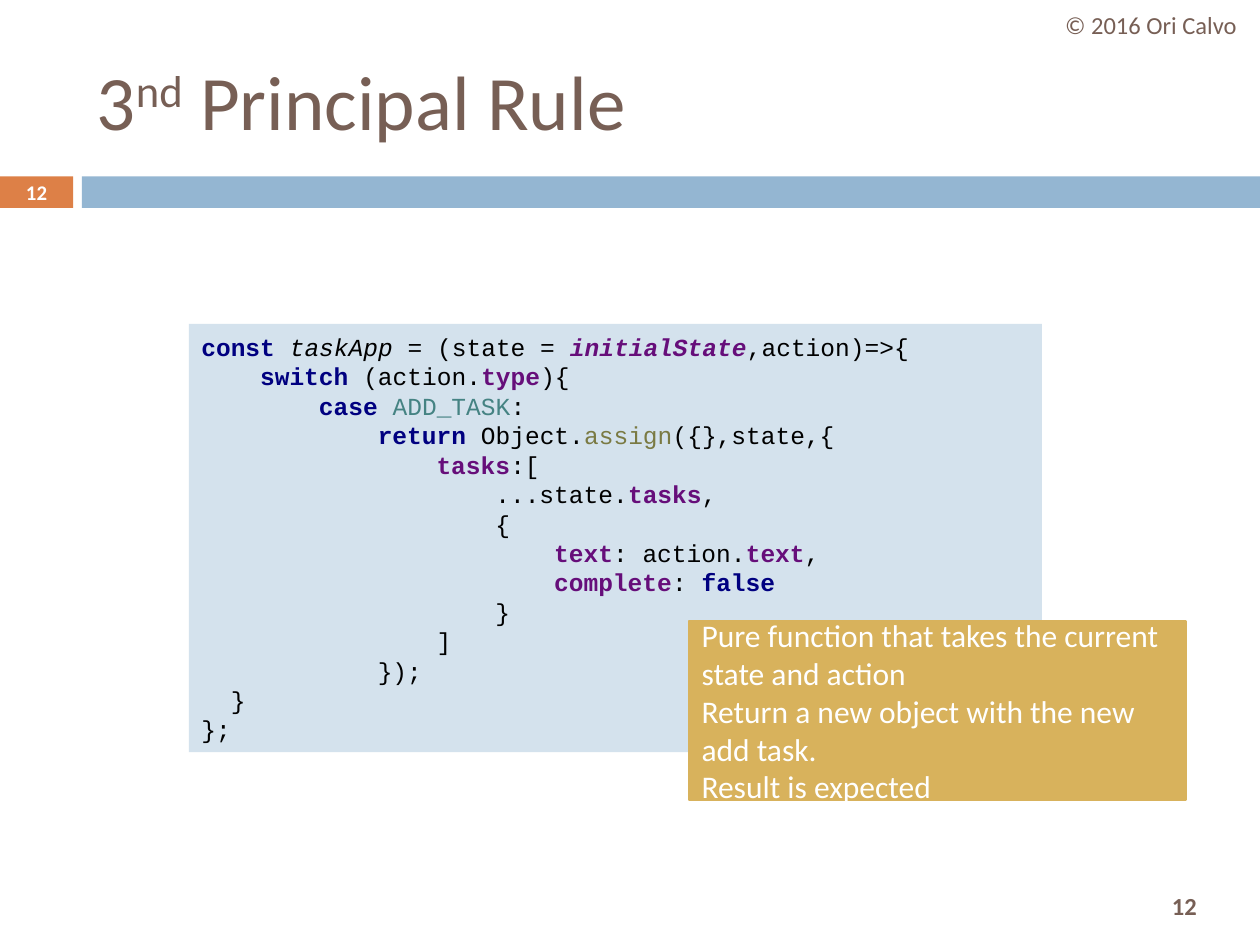
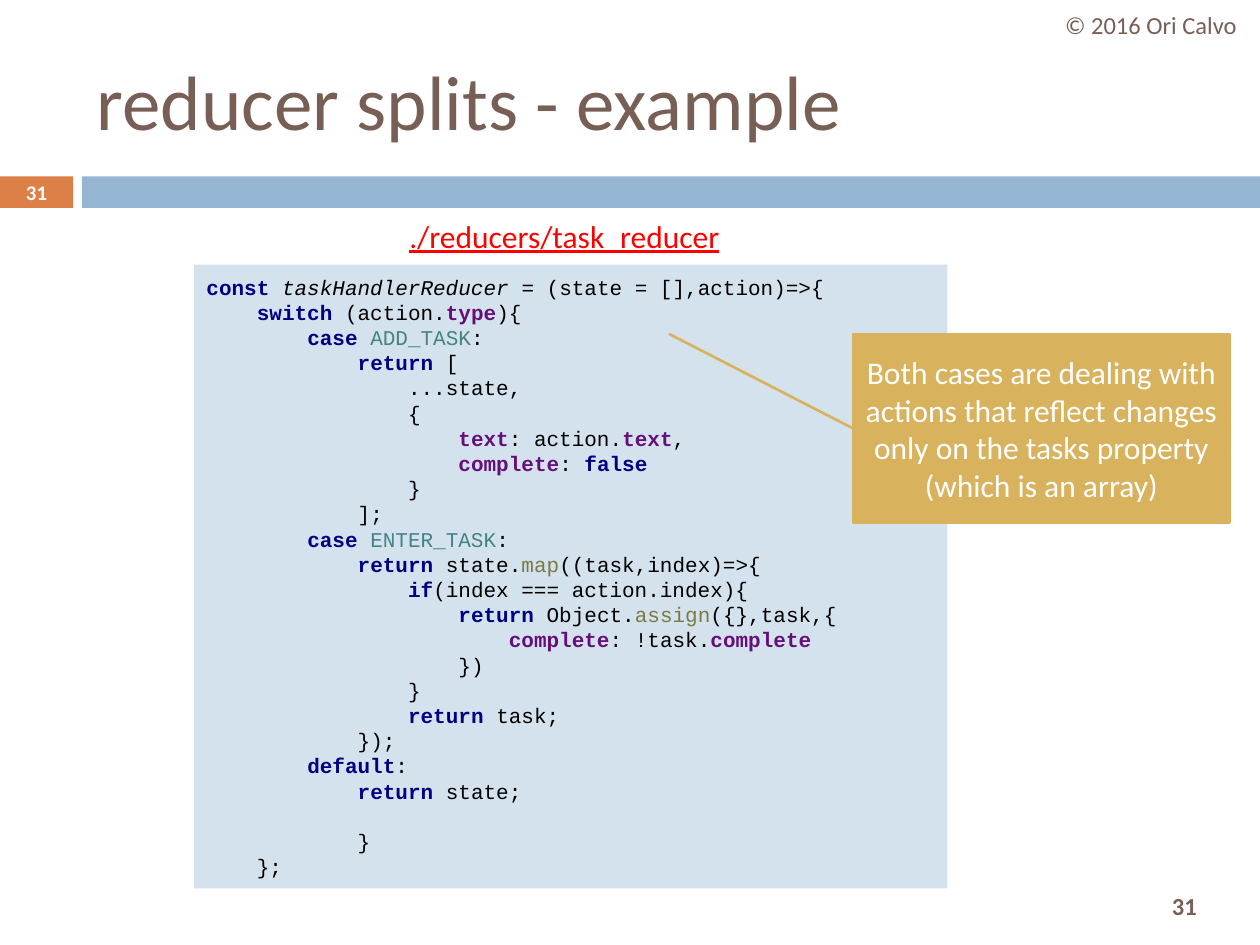
"""Two code walkthrough slides: a shared frame, a highlighted listing and a callout."""
from lxml import etree
from pptx import Presentation, util as u
from pptx.dml.color import RGBColor
from pptx.enum import shapes, text
from pptx.oxml.ns import qn

COLORS = {
    "brown": "775F55", "orange": "DD8047", "blue": "94B6D2", "pale": "D4E2ED",
    "gold": "D8B25C", "white": "FFFFFF", "red": "FF0000", "black": "000000",
    "navy": "000080", "purple": "660E7A", "teal": "458383", "olive": "7A7A43",
}
SANS, MONO = "Calibri", "Courier New"
LEFT, CENTER = text.PP_ALIGN.LEFT, text.PP_ALIGN.CENTER
TOP, MIDDLE = text.MSO_ANCHOR.TOP, text.MSO_ANCHOR.MIDDLE

# Code markup: ~k...~ is a styled token, the letter picks the style.
TOKENS = {
    "k": ("navy", True, False),      # keyword
    "f": ("black", False, True),     # declared name
    "g": ("purple", True, True),     # global constant
    "p": ("purple", True, False),    # property
    "c": ("teal", False, False),     # action type
    "m": ("olive", False, False),    # method
}
PLAIN = ("black", False, False)

TASK_APP = """\
~kconst~ ~ftaskApp~ = (state = ~ginitialState~,action)=>{
    ~kswitch~ (action.~ptype~){
        ~kcase~ ~cADD_TASK~:
            ~kreturn~ Object.~massign~({},state,{
                ~ptasks~:[
                    ...state.~ptasks~,
                    {
                        ~ptext~: action.~ptext~,
                        ~pcomplete~: ~kfalse~
                    }
                ]
            });
  }
};"""

TASK_REDUCER = """\
~kconst~ ~ftaskHandlerReducer~ = (state = [],action)=>{
    ~kswitch~ (action.~ptype~){
        ~kcase~ ~cADD_TASK~:
            ~kreturn~ [
                ...state,
                {
                    ~ptext~: action.~ptext~,
                    ~pcomplete~: ~kfalse~
                }
            ];
        ~kcase~ ~cENTER_TASK~:
            ~kreturn~ state.~mmap~((task,index)=>{
                ~kif~(index === action.index){
                    ~kreturn~ Object.~massign~({},task,{
                        ~pcomplete~: !task.~pcomplete~
                    })
                }
                ~kreturn~ task;
            });
        ~kdefault~:
            ~kreturn~ state;

            }
    };"""

deck = Presentation()
deck.slide_width, deck.slide_height = u.Inches(10), u.Inches(7.5)
# The grid has 100 columns and 75 rows.
COL, ROW = deck.slide_width / 100, deck.slide_height / 75


def grid(box):
    """Turn a box of columns and rows into slide lengths."""
    return [round(size * unit) for size, unit in zip(box, (COL, ROW, COL, ROW))]


def rgb(color):
    """Look up a named colour."""
    return RGBColor.from_string(COLORS[color])


def add_run(paragraph, words, size, color, font=SANS, bold=False, italic=False):
    """Append one formatted run."""
    run = paragraph.add_run()
    run.text = words
    run.font.name, run.font.size = font, u.Pt(size)
    run.font.bold, run.font.italic = bold, italic
    run.font.color.rgb = rgb(color)
    return run


def open_frame(holder, anchor=MIDDLE):
    """Prepare the text frame of a shape for wrapped text."""
    frame = holder.text_frame
    frame.word_wrap, frame.vertical_anchor = True, anchor
    return frame


def label(slide, box, words, size, color, align=LEFT, anchor=MIDDLE, bold=False):
    """Add a text box with one run; return its paragraph and run."""
    paragraph = open_frame(slide.shapes.add_textbox(*grid(box)), anchor).paragraphs[0]
    paragraph.alignment = align
    return paragraph, add_run(paragraph, words, size, color, bold=bold)


def panel(slide, box, color, outlined=False):
    """Add a flat rectangle."""
    rect = slide.shapes.add_shape(shapes.MSO_SHAPE.RECTANGLE, *grid(box))
    rect.shadow.inherit = False
    rect.fill.solid()
    rect.fill.fore_color.rgb = rgb(color)
    if outlined:
        rect.line.color.rgb, rect.line.width = rgb(color), u.Pt(1.5)
    else:
        rect.line.fill.background()
    return rect


def slide_frame(number, title):
    """Start a slide with its band, numbers, title parts and copyright line."""
    slide = deck.slides.add_slide(deck.slide_layouts[6])
    panel(slide, (0, 14, 5.8, 2.5), "orange")
    panel(slide, (6.5, 14, 93.5, 2.5), "blue")
    label(slide, (89.4, 69.8, 9.2, 4.2), number, 14, "brown", CENTER, bold=True)
    first, *others = title
    heading, _ = label(slide, (6.7, 2.5, 89.2, 10.8), first, 44, "brown")
    for words, raised in others:
        run = add_run(heading, words, 44, "brown")
        if raised:
            run.font._element.set("baseline", "30000")
    label(slide, (82.7, 0, 17.3, 4), "© 2016 Ori Calvo", 14, "brown", CENTER)
    label(slide, (0, 13.9, 5.8, 2.7), number, 11.9, "white", CENTER, bold=True)
    return slide


def code_listing(slide, box, source, size):
    """Show highlighted code, with leading spaces turned into indents."""
    frame = open_frame(panel(slide, box, "pale"))
    pitch = u.Pt(size * 1.2)
    gap, started = 0, False
    for line in source.splitlines():
        code = line.lstrip()
        if not code:
            gap += pitch
            continue
        paragraph = frame.add_paragraph() if started else frame.paragraphs[0]
        started = True
        paragraph.alignment, paragraph.line_spacing = LEFT, pitch
        paragraph.space_before, gap = u.Emu(gap), 0
        indent = u.Pt((len(line) - len(code)) * size * 0.6)
        paragraph._p.get_or_add_pPr().set("marL", str(int(indent)))
        for index, part in enumerate(code.split("~")):
            style = PLAIN
            if index % 2:
                style, part = TOKENS[part[0]], part[1:]
            if part:
                color, bold, italic = style
                add_run(paragraph, part, size, color, MONO, bold, italic)


def callout(slide, box, remarks, align=LEFT):
    """Add a gold note with one paragraph for each remark."""
    frame = open_frame(panel(slide, box, "gold", outlined=True))
    for index, remark in enumerate(remarks):
        paragraph = frame.add_paragraph() if index else frame.paragraphs[0]
        paragraph.alignment = align
        add_run(paragraph, remark, 18, "white")


def pointer(slide, box, reach):
    """Draw a line from the left middle of a box to its top level, further left."""
    left, top, _, height = box
    ends = grid((left, top + height / 2, left - reach, top))
    line = slide.shapes.add_connector(shapes.MSO_CONNECTOR.STRAIGHT, *ends)
    line.line.color.rgb, line.line.width = rgb("gold"), u.Pt(1.5)
    etree.SubElement(line._element.spPr, qn("a:effectLst"))


def principal_rule():
    """Build the slide on pure functions."""
    slide = slide_frame("12", ["3", ("nd", True), (" Principal Rule", False)])
    code_listing(slide, (15, 25.7, 67.7, 34), TASK_APP, 14)
    callout(slide, (54.7, 49.3, 39.4, 14.2), [
        "Pure function that takes the current state and action",
        "Return a new object with the new add task.",
        "Result is expected",
    ])


def reducer_splits():
    """Build the slide on the split task reducer."""
    slide = slide_frame("31", ["reducer splits - example"])
    code_listing(slide, (15.4, 21, 59.8, 49.5), TASK_REDUCER, 12)
    note = (67.7, 26.5, 29.9, 15)
    callout(slide, note, [
        "Both cases are dealing with actions that reflect changes only on the "
        "tasks property (which is an array)"], CENTER)
    pointer(slide, note, 14.6)
    _, file_name = label(slide, (31.5, 16.7, 27.6, 7.1), "./reducers/task_reducer",
                         18, "red", anchor=TOP)
    file_name.font.underline = True


principal_rule()
reducer_splits()
deck.save("out.pptx")
